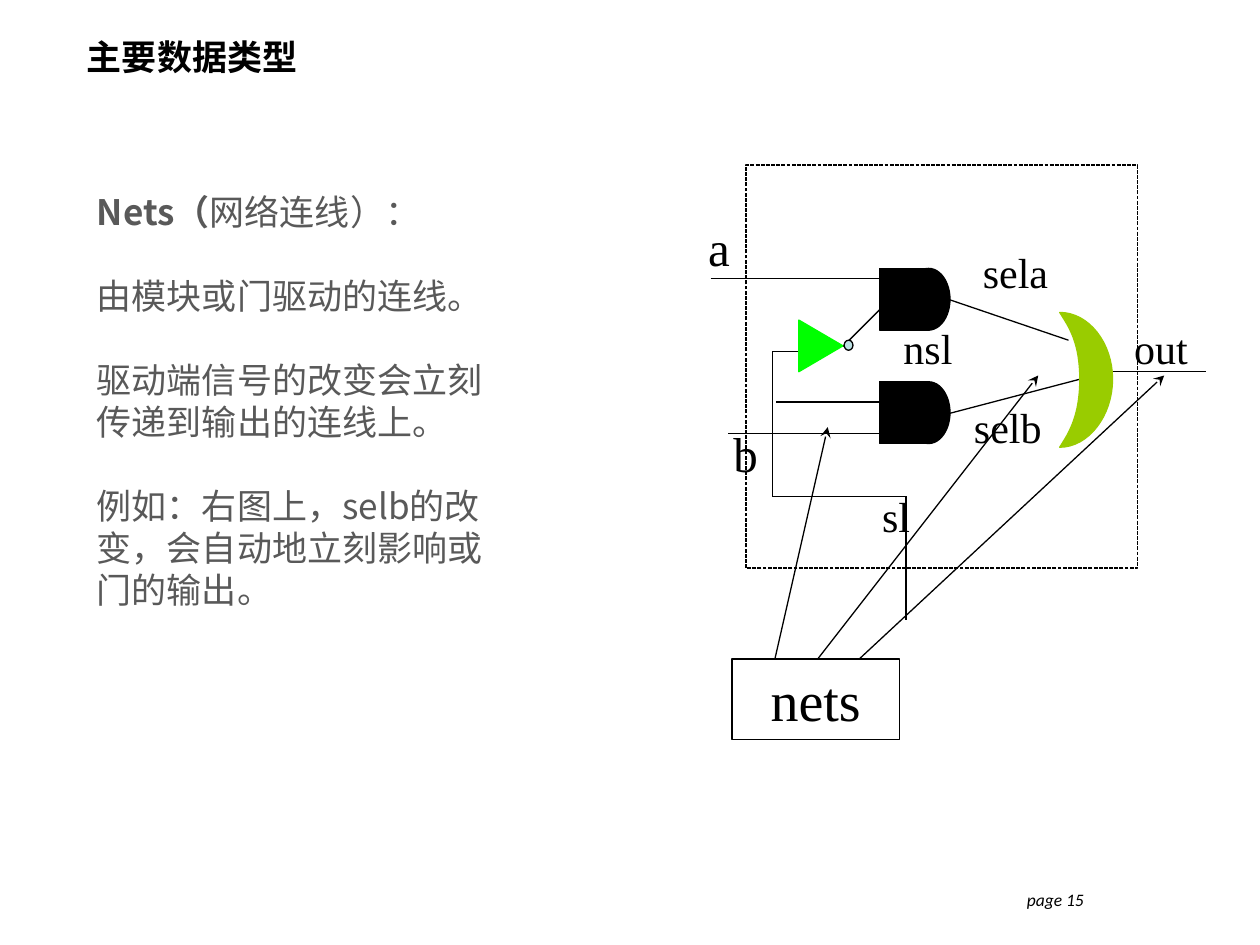
import pptx
import pptx.util
import pptx.dml.color
import pptx.enum.dml
import pptx.enum.shapes
import pptx.enum.text
import pptx.oxml.ns
from lxml import etree

Inches, Pt = pptx.util.Inches, pptx.util.Pt
RGB = pptx.dml.color.RGBColor
KIND = pptx.enum.shapes.MSO_SHAPE
ALIGN = pptx.enum.text.PP_ALIGN
ANCHOR = pptx.enum.text.MSO_ANCHOR
qn = pptx.oxml.ns.qn

BLACK = RGB(0x00, 0x00, 0x00)
GREY = RGB(0x59, 0x59, 0x59)
GREEN = RGB(0x00, 0xFF, 0x00)
LIME = RGB(0x99, 0xCC, 0x00)
PALE = RGB(0xBB, 0xE0, 0xE3)
HAN, SERIF = "Noto Sans CJK SC", "Times New Roman"

# Content: each block is a list of lines, each line a list of (text, bold) runs
TITLE = "主要数据类型"
BLOCKS = [
    [[("Nets（", True), ("网络连线）：", False)]],
    [[("由模块或门驱动的连线。", False)]],
    [[("驱动端信号的改变会立刻", False)], [("传递到输出的连线上。", False)]],
    [[("例如：右图上，selb的改", False)], [("变，会自动地立刻影响或", False)],
     [("门的输出。", False)]],
]
# Signal labels: text, left, top, size
LABELS = [
    ("a", 5.62, 1.73, 28), ("b", 5.82, 3.36, 28), ("sl", 7.0, 3.89, 24),
    ("nsl", 7.17, 2.56, 24), ("sela", 7.8, 1.96, 24),
    ("selb", 7.73, 3.19, 24), ("out", 9.0, 2.56, 24),
]
# Wires: each a chain of points
WIRES = [
    [(5.64, 2.21), (6.98, 2.21)],
    [(5.78, 3.44), (6.98, 3.44)],
    [(6.16, 3.19), (6.98, 3.19)],
    [(8.75, 2.95), (9.57, 2.95)],
    [(6.69, 2.75), (6.98, 2.46)],
    [(7.54, 2.38), (8.48, 2.7)],
    [(7.54, 3.28), (8.57, 3.01)],
    [(6.34, 2.79), (6.13, 2.79), (6.13, 3.94), (7.19, 3.94), (7.19, 4.92)],
]
# Arrows from the nets box: start x, tip
ARROWS = [(6.15, (6.57, 3.39)), (6.49, (8.24, 2.98)), (6.82, (9.24, 2.98))]
NETS = (5.81, 5.23, 1.33, 0.64)
GATES = [2.13, 3.03]
# Or gate: start point, then Bezier segments
MOON = [(8.41, 2.48),
        [(8.49, 2.6), (8.57, 2.73), (8.57, 3.01)],
        [(8.57, 3.29), (8.49, 3.43), (8.41, 3.55)],
        [(8.64, 3.55), (8.83, 3.3), (8.83, 3.01)],
        [(8.83, 2.72), (8.64, 2.48), (8.41, 2.48)]]

deck = pptx.Presentation()
deck.slide_width, deck.slide_height = Inches(10), Inches(7.5)
slide = deck.slides.add_slide(deck.slide_layouts[5])
shapes = slide.shapes


def add_run(para, text, size, face, color=BLACK, bold=False, italic=False):
    run = para.add_run()
    run.text = text
    font = run.font
    font.size, font.name, font.bold, font.italic = Pt(size), face, bold, italic
    font.color.rgb = color
    east = etree.SubElement(run._r.get_or_add_rPr(), qn("a:ea"))
    east.set("typeface", face)


def add_box(left, top, width, height, inset=True):
    box = shapes.add_textbox(*map(Inches, (left, top, width, height)))
    frame = box.text_frame
    frame.word_wrap = True
    if not inset:
        frame.margin_left = frame.margin_right = 0
        frame.margin_top = frame.margin_bottom = 0
    return frame


def style(shape, fill=None, line=BLACK):
    shape.shadow.inherit = False
    if fill is None:
        shape.fill.background()
    else:
        shape.fill.solid()
        shape.fill.fore_color.rgb = fill
    shape.line.color.rgb = line
    shape.line.width = Pt(0.75)
    return shape


def add_part(kind, at, fill=None, line=BLACK):
    return style(shapes.add_shape(kind, *map(Inches, at)), fill, line)


def add_wire(start, end, arrow=False):
    wire = shapes.add_connector(pptx.enum.shapes.MSO_CONNECTOR.STRAIGHT,
                                *map(Inches, start + end))
    wire.line.color.rgb = BLACK
    wire.line.width = Pt(0.75)
    if arrow:
        tip = etree.SubElement(wire.line._get_or_add_ln(), qn("a:tailEnd"))
        tip.set("type", "stealth")
    etree.SubElement(wire._element.spPr, qn("a:effectLst"))


def curve(start, segs, steps=16):
    """Points along a chain of cubic Bezier segments."""
    for one, two, end in segs:
        for k in range(1, steps + 1):
            t = k / steps
            u = 1 - t
            yield tuple(u**3 * a + 3 * u * u * t * b + 3 * u * t * t * c + t**3 * d
                        for a, b, c, d in zip(start, one, two, end))
        start = end


# Title
title = shapes.title
title.left, title.top, title.width, title.height = map(
    Inches, (0.59, 0.21, 6.22, 0.47))
title.text_frame.vertical_anchor = ANCHOR.MIDDLE
para = title.text_frame.paragraphs[0]
para.alignment = ALIGN.LEFT
add_run(para, TITLE, 20, HAN, bold=True)

# Body text, one empty line's height between blocks
frame = add_box(0.67, 1.46, 4.29, 5.16)
para = None
for block in BLOCKS:
    for row, line in enumerate(block):
        first = para is None
        para = frame.paragraphs[0] if first else frame.add_paragraph()
        para.alignment = ALIGN.LEFT
        para.line_spacing = Pt(24)
        para.space_before = Pt(24 if row == 0 and not first else 0)
        for text, bold in line:
            add_run(para, text, 20, HAN, GREY, bold)

# Page number
para = add_box(6.37, 7.01, 2.33, 0.52).paragraphs[0]
para.alignment = ALIGN.RIGHT
add_run(para, "page 15", 10, "Calibri", italic=True)

# Module frame
module = add_part(KIND.RECTANGLE, (5.92, 1.31, 3.11, 3.2))
module.line.dash_style = pptx.enum.dml.MSO_LINE.SQUARE_DOT

# Wires and arrows
for chain in WIRES:
    for start, end in zip(chain, chain[1:]):
        add_wire(start, end)
for left, tip in ARROWS:
    add_wire((left, NETS[1]), tip, arrow=True)

# And gates: a square back and a round front
for top in GATES:
    add_part(KIND.OVAL, (7.2, top, 0.34, 0.49), BLACK)
    add_part(KIND.RECTANGLE, (6.98, top, 0.4, 0.49), BLACK)

# Inverter
add_part(KIND.ISOSCELES_TRIANGLE, (6.31, 2.57, 0.41, 0.35),
         GREEN, GREEN).rotation = 90
add_part(KIND.OVAL, (6.7, 2.7, 0.07, 0.08), PALE)

# Or gate
pen = shapes.build_freeform(*map(Inches, MOON[0]), scale=1.0)
pen.add_line_segments([tuple(map(Inches, point))
                       for point in curve(MOON[0], MOON[1:])], close=True)
style(pen.convert_to_shape(), LIME, LIME)

# Signal labels
for text, left, top, size in LABELS:
    frame = add_box(left, top, 0.75, size / 60, inset=False)
    add_run(frame.paragraphs[0], text, size, SERIF)

# Nets box
frame = add_part(KIND.RECTANGLE, NETS).text_frame
frame.vertical_anchor = ANCHOR.MIDDLE
frame.paragraphs[0].alignment = ALIGN.CENTER
add_run(frame.paragraphs[0], "nets", 32, SERIF)

deck.save("out.pptx")
